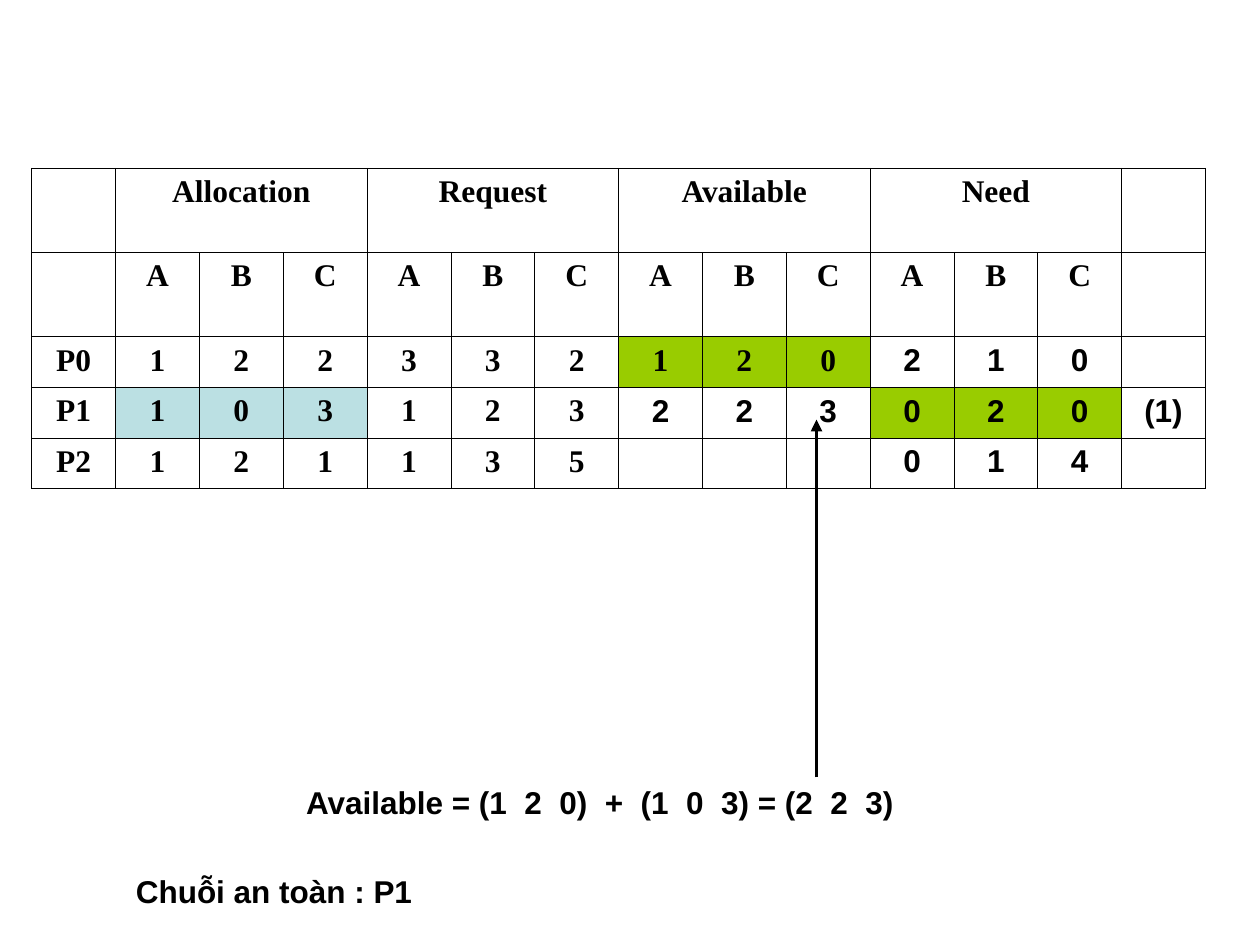
from lxml import etree
from pptx import Presentation
from pptx.dml.color import RGBColor
from pptx.enum.shapes import MSO_CONNECTOR
from pptx.enum.text import MSO_AUTO_SIZE, PP_ALIGN
from pptx.oxml.ns import qn
from pptx.util import Cm, Pt

STRAIGHT = MSO_CONNECTOR.STRAIGHT
CENTER = PP_ALIGN.CENTER
LEFT = PP_ALIGN.LEFT
FIT_SHAPE = MSO_AUTO_SIZE.SHAPE_TO_FIT_TEXT

BLACK = RGBColor(0x00, 0x00, 0x00)
GREEN = RGBColor(0x99, 0xCC, 0x00)
PALE_BLUE = RGBColor(0xBB, 0xE0, 0xE3)

SERIF = "Times New Roman"
SANS = "Arial"

GROUPS = ["Allocation", "Request", "Available", "Need"]
RESOURCES = ["A", "B", "C"]
PROCESSES = [
    ["P0", "1", "2", "2", "3", "3", "2", "1", "2", "0", "2", "1", "0", ""],
    ["P1", "1", "0", "3", "1", "2", "3", "2", "2", "3", "0", "2", "0", "(1)"],
    ["P2", "1", "2", "1", "1", "3", "5", "", "", "", "0", "1", "4", ""],
]
FIRST_PROCESS_ROW = 2
P0_ROW, P1_ROW = 2, 3
ALLOCATION, REQUEST, AVAILABLE, NEED = range(1, 13, 3)
HIGHLIGHTS = {
    (P0_ROW, AVAILABLE): GREEN,
    (P1_ROW, ALLOCATION): PALE_BLUE,
    (P1_ROW, NEED): GREEN,
}


def group_start(column):
    return column - (column - 1) % len(RESOURCES)


def cell_font(row, column):
    computed_need = row >= FIRST_PROCESS_ROW and column >= NEED
    computed_available = row == P1_ROW and column >= AVAILABLE
    return SANS if computed_need or computed_available else SERIF


class SlideBuilder:
    size = Pt(18)
    border_width = Pt(0.45)
    arrow_width = Pt(2.25)

    def __init__(self, slide):
        self.slide = slide

    def set_text(self, paragraph, text, font_name, alignment):
        paragraph.text = text
        paragraph.alignment = alignment
        font = paragraph.font
        font.name = font_name
        font.size = self.size
        font.bold = True
        font.color.rgb = BLACK

    def border(self, cell):
        properties = cell._tc.get_or_add_tcPr()
        for position, side in enumerate(["lnL", "lnR", "lnT", "lnB"]):
            line = etree.Element(qn(f"a:{side}"), w=str(int(self.border_width)))
            fill = etree.SubElement(line, qn("a:solidFill"))
            etree.SubElement(fill, qn("a:srgbClr"), val=str(BLACK))
            properties.insert(position, line)

    def table(self, left, top, column_width, row_heights, rows):
        column_count = len(rows[0])
        table = self.slide.shapes.add_table(
            len(rows), column_count, left, top,
            column_width * column_count, sum(row_heights),
        ).table
        table.first_row = False
        table.horz_banding = False
        for column in table.columns:
            column.width = column_width
        for row, height in zip(table.rows, row_heights):
            row.height = height
        for row, values in enumerate(rows):
            for column, value in enumerate(values):
                cell = table.cell(row, column)
                self.set_text(cell.text_frame.paragraphs[0], value,
                              cell_font(row, column), CENTER)
                highlight = HIGHLIGHTS.get((row, group_start(column)))
                if highlight is None:
                    cell.fill.background()
                else:
                    cell.fill.solid()
                    cell.fill.fore_color.rgb = highlight
                self.border(cell)
        return table

    def label(self, left, top, width, height, text):
        frame = self.slide.shapes.add_textbox(left, top, width, height).text_frame
        frame.word_wrap = False
        frame.auto_size = FIT_SHAPE
        self.set_text(frame.paragraphs[0], text, SANS, LEFT)

    def arrow(self, start_x, start_y, end_x, end_y):
        arrow = self.slide.shapes.add_connector(
            STRAIGHT, start_x, start_y, end_x, end_y)
        arrow.line.color.rgb = BLACK
        arrow.line.width = self.arrow_width
        properties = arrow._element.spPr
        etree.SubElement(properties.find(qn("a:ln")), qn("a:tailEnd"),
                         type="triangle")
        etree.SubElement(properties, qn("a:effectLst"))


def main():
    presentation = Presentation()
    presentation.slide_width = Cm(25.4)
    presentation.slide_height = Cm(19.05)
    builder = SlideBuilder(
        presentation.slides.add_slide(presentation.slide_layouts[6]))

    group_row = [""]
    for group in GROUPS:
        group_row += [group, "", ""]
    group_row.append("")
    resource_row = ["", *RESOURCES * len(GROUPS), ""]

    allocation_table = builder.table(
        Cm(0.64), Cm(3.39), Cm(1.69),
        [Cm(1.7)] * 2 + [Cm(1.02)] * len(PROCESSES),
        [group_row, resource_row, *PROCESSES],
    )
    for start in (ALLOCATION, REQUEST, AVAILABLE, NEED):
        allocation_table.cell(0, start).merge(
            allocation_table.cell(0, start + len(RESOURCES) - 1))

    builder.label(Cm(5.92), Cm(15.67), Cm(12.37), Cm(1.02),
                  "Available = (1  2  0)  +  (1  0  3) = (2  2  3)")
    builder.arrow(Cm(16.46), Cm(15.67), Cm(16.46), Cm(8.46))
    builder.label(Cm(2.49), Cm(17.45), Cm(6.25), Cm(1.02),
                  "Chuỗi an toàn : P1")

    presentation.save("out.pptx")


if __name__ == "__main__":
    main()
